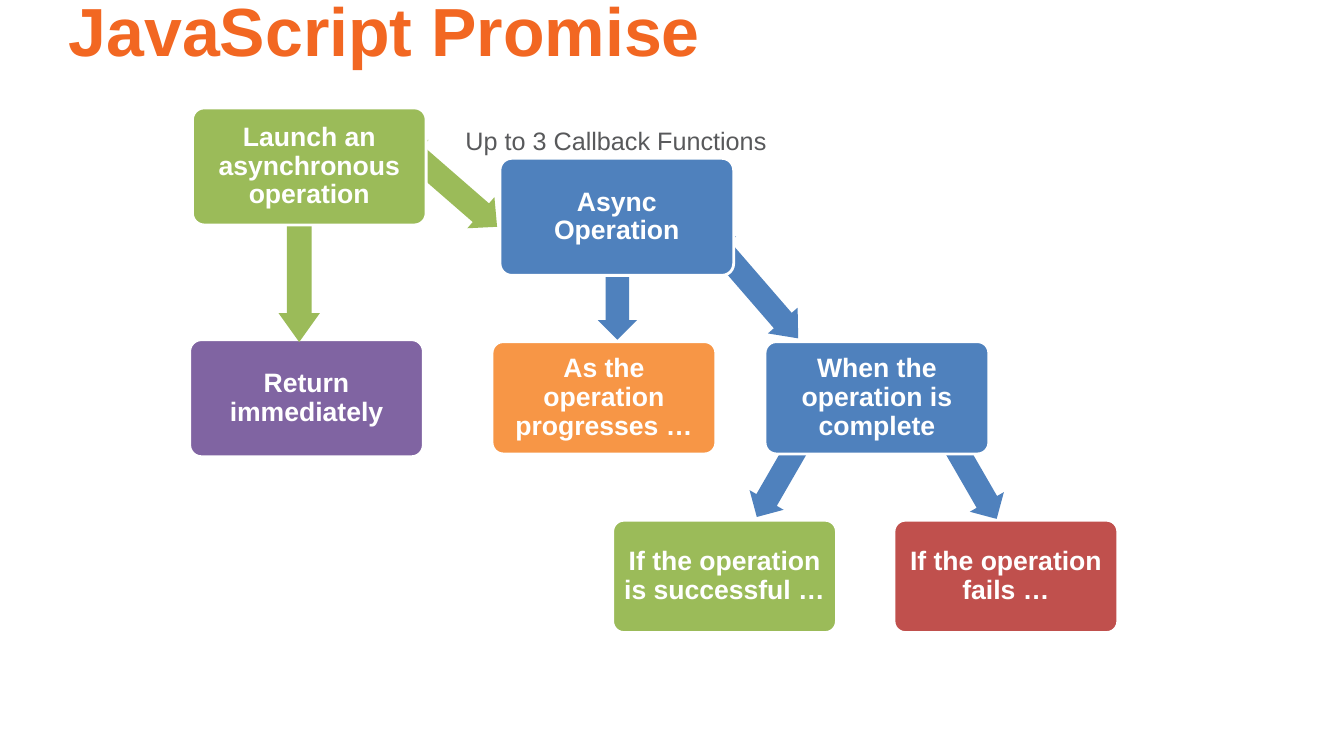
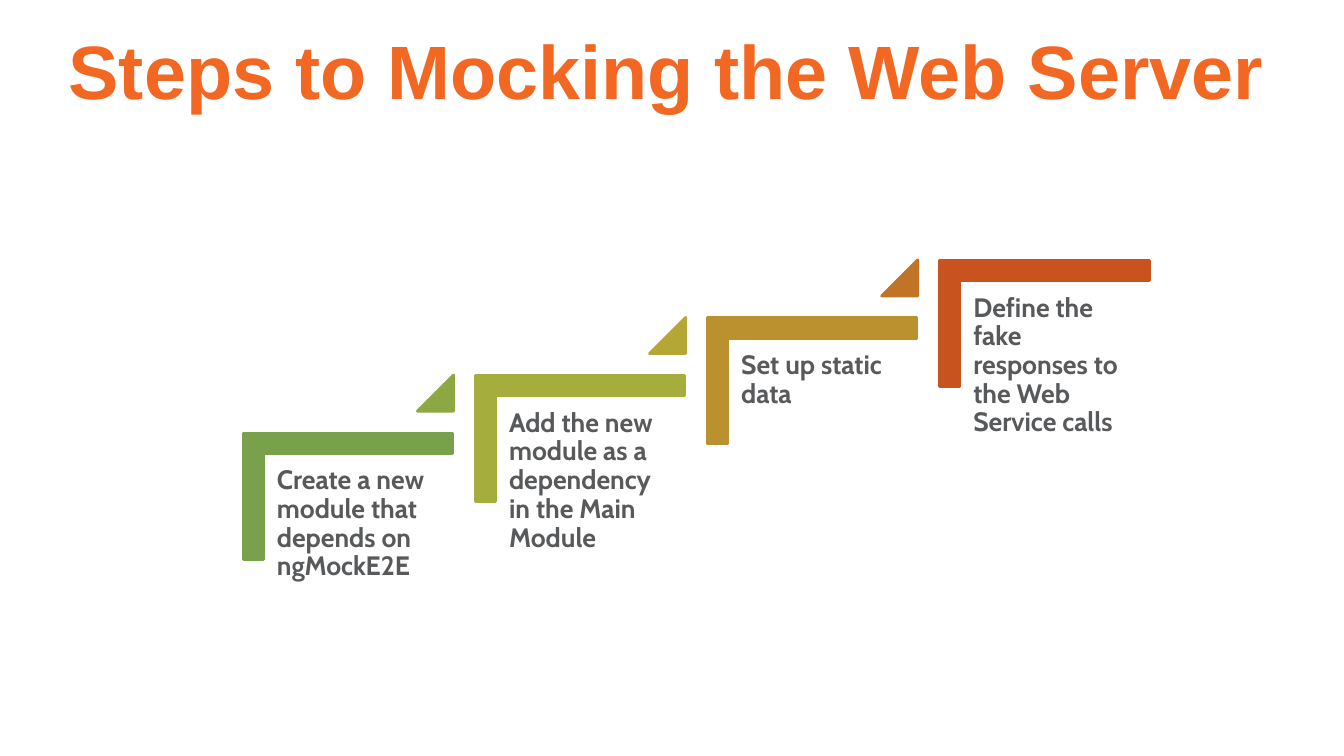
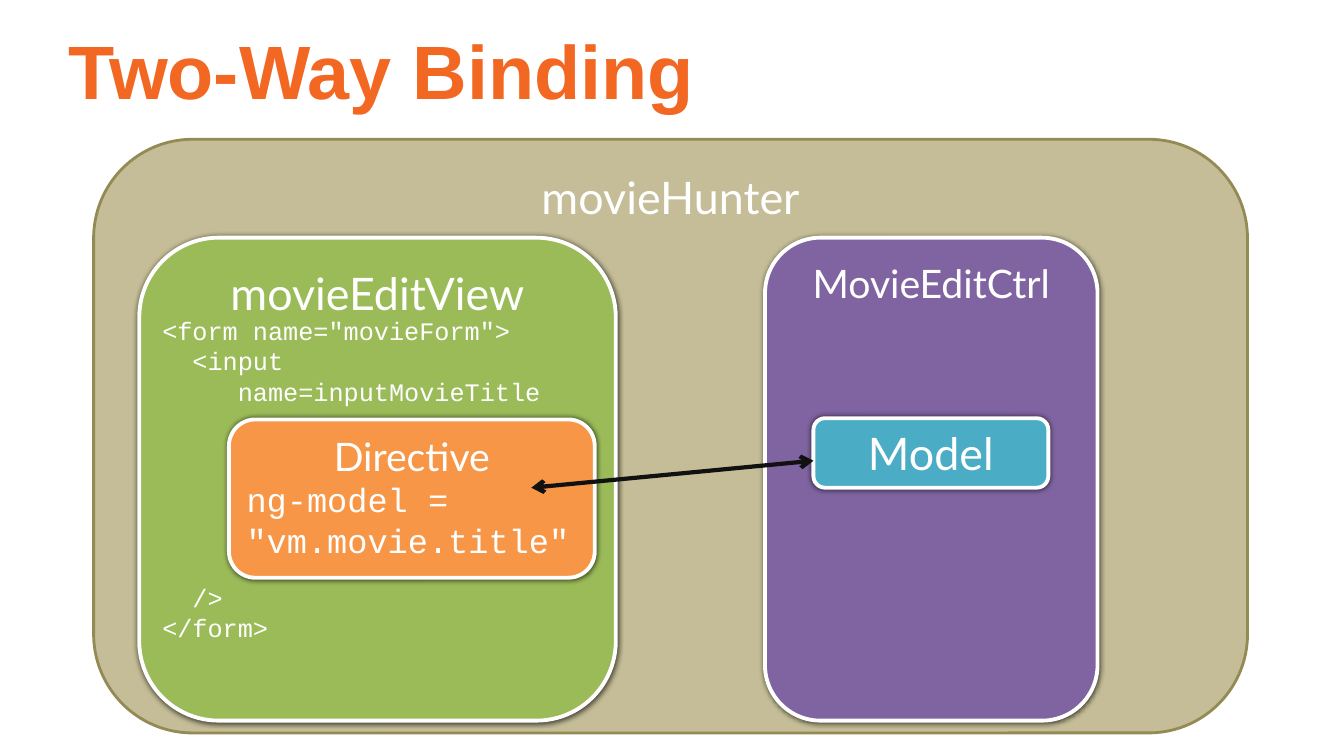
from collections import namedtuple

from lxml import etree
from pptx import Presentation
from pptx import util as u
from pptx.dml.color import RGBColor
from pptx.enum import shapes, text
from pptx.oxml import ns

COLORS = {
    "title": "F26722",
    "body": "58595B",
    "white": "FFFFFF",
    "black": "000000",
    "ink": "121112",
    "blue": "4F81BD",
    "green": "9BBB59",
    "purple": "8064A2",
    "orange": "F79646",
    "red": "C0504D",
    "teal": "4BACC6",
    "sand": "C4BD97",
    "sand_edge": "948A54",
    "step_1": "79A14C",
    "rise_1": "8CA844",
    "step_2": "A5AE3D",
    "rise_2": "B5A735",
    "step_3": "BB902E",
    "rise_3": "C27426",
    "step_4": "C8531F",
}

Style = namedtuple("Style", "font size color bold align spacing")
LEFT, CENTER = text.PP_ALIGN.LEFT, text.PP_ALIGN.CENTER
TOP, MIDDLE = text.MSO_ANCHOR.TOP, text.MSO_ANCHOR.MIDDLE
PRESET = shapes.MSO_SHAPE

TITLE = Style("Arial", 54, "title", True, LEFT, 0.85)
FLOW = Style("Arial", 19, "white", True, CENTER, 0.9)
CAPTION = Style("Arial", 18, "body", False, LEFT, 1)
STEP = Style("Cabin", 19, "body", True, LEFT, 0.9)
HEADING = Style("Lato", 32, "white", False, CENTER, 1)
SUBHEADING = HEADING._replace(size=28)
CODE = Style("Courier New", 18, "white", False, LEFT, 1)
LARGE_CODE = CODE._replace(size=24)

INSETS = (0.25, 0.13, 0.25, 0.13)
LARGE_BOX = (5.89, 2.95, 0.23)
SMALL_BOX = (5.64, 2.83, 0.18)


def rgb(name):
    return RGBColor.from_string(COLORS[name])


def cm(*lengths):
    return [u.Cm(length) for length in lengths]


def write(shape, lines, anchor=TOP, insets=INSETS):
    frame = shape.text_frame
    frame.word_wrap = True
    frame.vertical_anchor = anchor
    (frame.margin_left, frame.margin_top,
     frame.margin_right, frame.margin_bottom) = cm(*insets)
    for index, (words, style) in enumerate(lines):
        paragraph = frame.add_paragraph() if index else frame.paragraphs[0]
        paragraph.text = words
        paragraph.alignment = style.align
        paragraph.line_spacing = style.spacing
        paragraph.font.name = style.font
        paragraph.font.size = u.Pt(style.size)
        paragraph.font.bold = style.bold
        paragraph.font.color.rgb = rgb(style.color)


def add_text(slide, box, lines, anchor=TOP, insets=INSETS):
    write(slide.shapes.add_textbox(*cm(*box)), lines, anchor, insets)


def add_preset(slide, preset, box, fill, edge=None, width=2,
               adjustments=(), rotation=0):
    shape = slide.shapes.add_shape(preset, *cm(*box))
    shape.shadow.inherit = False
    shape.fill.solid()
    shape.fill.fore_color.rgb = rgb(fill)
    if edge:
        shape.line.color.rgb = rgb(edge)
        shape.line.width = u.Pt(width)
    else:
        shape.line.fill.background()
    for index, value in enumerate(adjustments):
        shape.adjustments[index] = value
    shape.rotation = rotation
    return shape


def add_title(slide, words, top=0.51, height=2.84, size=54):
    add_text(slide, (1.73, top, 30.51, height),
             [(words, TITLE._replace(size=size))], MIDDLE, (0, 0.13, 0.25, 0.13))


def flow_box(slide, left, top, size, words, fill):
    width, height, inset = size
    shape = add_preset(slide, PRESET.ROUNDED_RECTANGLE, (left, top, width, height),
                       fill, "white", adjustments=(0.1,))
    write(shape, [(words, FLOW)], MIDDLE, (inset,) * 4)


def flow_arrow(slide, center_x, center_y, length, width, rotation, head, fill):
    box = (center_x - length / 2, center_y - width / 2, length, width)
    add_preset(slide, PRESET.LEFT_RIGHT_ARROW, box, fill,
               adjustments=(0.6, head), rotation=rotation)


def promise_flow(slide, left, top):
    flow_box(slide, left, top + 5.84, LARGE_BOX, "Return immediately", "purple")
    arrows = [
        (19.6, 9.08, 2.95, 0.99, 60, 0.5, "blue"),
        (15.03, 9.03, 2.95, 0.99, 300, 0.5, "blue"),
        (14.17, 4.46, 3.56, 0.99, 229.1, 0.6, "blue"),
        (6.51, 1.92, 3.28, 1.04, 41, 0.52, "green"),
        (2.76, 3.74, 4.32, 1.04, 90, 0.7, "green"),
        (10.78, 4.28, 3.12, 0.99, 270, 0.5, "blue"),
    ]
    for x, y, *look in arrows:
        flow_arrow(slide, left + x, top + y, *look)
    boxes = [
        (0.07, 0, LARGE_BOX, "Launch an asynchronous operation", "green"),
        (7.82, 1.27, LARGE_BOX, "Async Operation", "blue"),
        (7.62, 5.89, SMALL_BOX, "As the operation progresses …", "orange"),
        (14.5, 5.89, SMALL_BOX, "When the operation is complete", "blue"),
        (10.66, 10.39, SMALL_BOX, "If the operation is successful …", "green"),
        (17.75, 10.39, SMALL_BOX, "If the operation fails …", "red"),
    ]
    for x, y, *look in boxes:
        flow_box(slide, left + x, top + y, *look)
    add_text(slide, (left + 6.7, top + 0.3, 9.93, 1.02),
             [("Up to 3 Callback Functions", CAPTION)])


def stair_step(slide, left, top, words, fill, rise):
    add_preset(slide, PRESET.CORNER, (left + 1.05, top - 1.05, 3.18, 5.28),
               fill, fill, adjustments=(0.161, 0.161), rotation=90)
    add_text(slide, (left + 0.65, top + 0.65, 4.52, 3.94),
             [(words, STEP)], insets=(0.2,) * 4)
    if rise:
        add_preset(slide, PRESET.ISOSCELES_TRIANGLE,
                   (left + 4.39, top - 1.46, 0.91, 0.91), rise, rise,
                   adjustments=(1,))


def staircase(slide, left, top):
    steps = [
        ("Create a new module that depends on ngMockE2E", "step_1", "rise_1"),
        ("Add the new module as a dependency in the Main Module", "step_2", "rise_2"),
        ("Set up static data", "step_3", "rise_3"),
        ("Define the fake responses to the Web Service calls", "step_4", None),
    ]
    for index, step in enumerate(steps):
        stair_step(slide, left + 5.85 * index, top - 1.45 * index, *step)


def panel(slide, box, fill, lines, anchor=TOP):
    shape = add_preset(slide, PRESET.ROUNDED_RECTANGLE, box, fill, "white", 2.75)
    effects = shape._element.spPr.find(ns.qn("a:effectLst"))
    shadow = etree.SubElement(effects, ns.qn("a:outerShdw"),
                              blurRad=str(u.Pt(4)), dist="0", dir="0")
    color = etree.SubElement(shadow, ns.qn("a:srgbClr"), val=COLORS["black"])
    etree.SubElement(color, ns.qn("a:alpha"), val="64000")
    write(shape, lines, anchor)


def controller_panel(slide, left, top):
    panel(slide, (left, top, 8.38, 12.17), "purple", [("MovieEditCtrl", SUBHEADING)])
    panel(slide, (left + 1.22, top + 4.55, 5.92, 1.75), "teal",
          [("Model", HEADING)], MIDDLE)


def view_panel(slide, left, top):
    panel(slide, (left, top, 12.01, 12.17), "green", [("movieEditView", HEADING)])
    add_text(slide, (left + 0.33, top + 8.56, 3.5, 1.8),
             [("  />", CODE), ("</form>", CODE)])
    panel(slide, (left + 2.26, top + 4.58, 9.22, 3.99), "orange",
          [("Directive", SUBHEADING),
           ('ng-model =\v"vm.movie.title"', LARGE_CODE)])
    add_text(slide, (left + 0.33, top + 1.83, 10.19, 2.57),
             [('<form name="movieForm">', CODE),
              ("  <input", CODE),
              ("     name=inputMovieTitle", CODE)])


def binding_arrow(slide, start_x, start_y, end_x, end_y):
    connector = slide.shapes.add_connector(
        shapes.MSO_CONNECTOR.STRAIGHT, *cm(start_x, start_y, end_x, end_y))
    connector.line.color.rgb = rgb("ink")
    connector.line.width = u.Pt(3)
    line = connector.line._get_or_add_ln()
    for end in ("a:headEnd", "a:tailEnd"):
        etree.SubElement(line, ns.qn(end), type="arrow")
    etree.SubElement(connector._element.spPr, ns.qn("a:effectLst"))


def application(slide, left, top):
    shape = add_preset(slide, PRESET.ROUNDED_RECTANGLE, (left, top, 29.08, 14.96),
                       "sand", "sand_edge")
    write(shape, [("movieHunter", HEADING)], insets=(0.25, 0.03, 0.25, 0.03))
    controller_panel(slide, left + 16.92, top + 2.48)
    view_panel(slide, left + 1.15, top + 2.48)
    binding_arrow(slide, left + 11.03, top + 8.78, left + 18.14, top + 8.1)


def main():
    presentation = Presentation()
    presentation.slide_width, presentation.slide_height = cm(33.87, 19.05)
    blank = presentation.slide_layouts[6]

    slide = presentation.slides.add_slide(blank)
    promise_flow(slide, 4.78, 2.72)
    add_title(slide, "JavaScript Promise", 0, 1.78, 48.6)

    slide = presentation.slides.add_slide(blank)
    add_title(slide, "Steps to Mocking the Web Server")
    staircase(slide, 6.13, 10.91)

    slide = presentation.slides.add_slide(blank)
    add_title(slide, "Two-Way Binding")
    application(slide, 2.36, 3.51)

    presentation.save("out.pptx")


if __name__ == "__main__":
    main()
